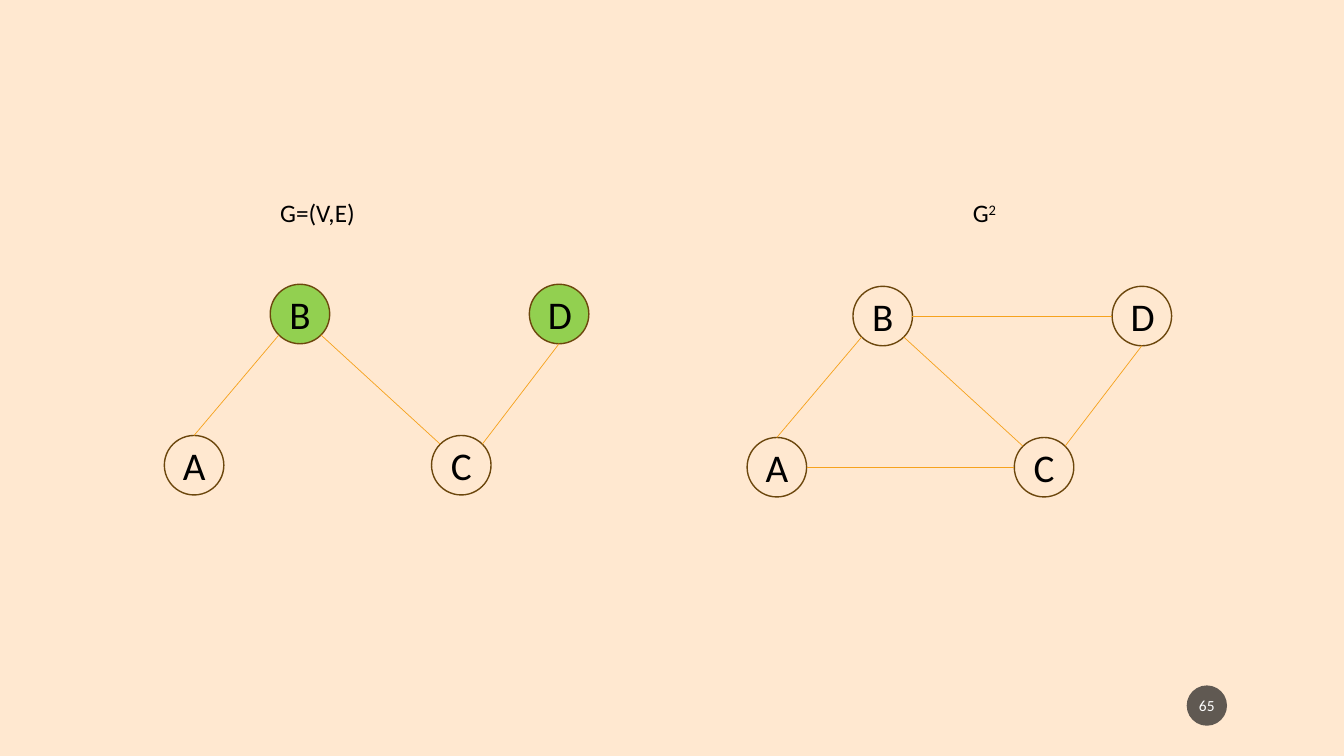
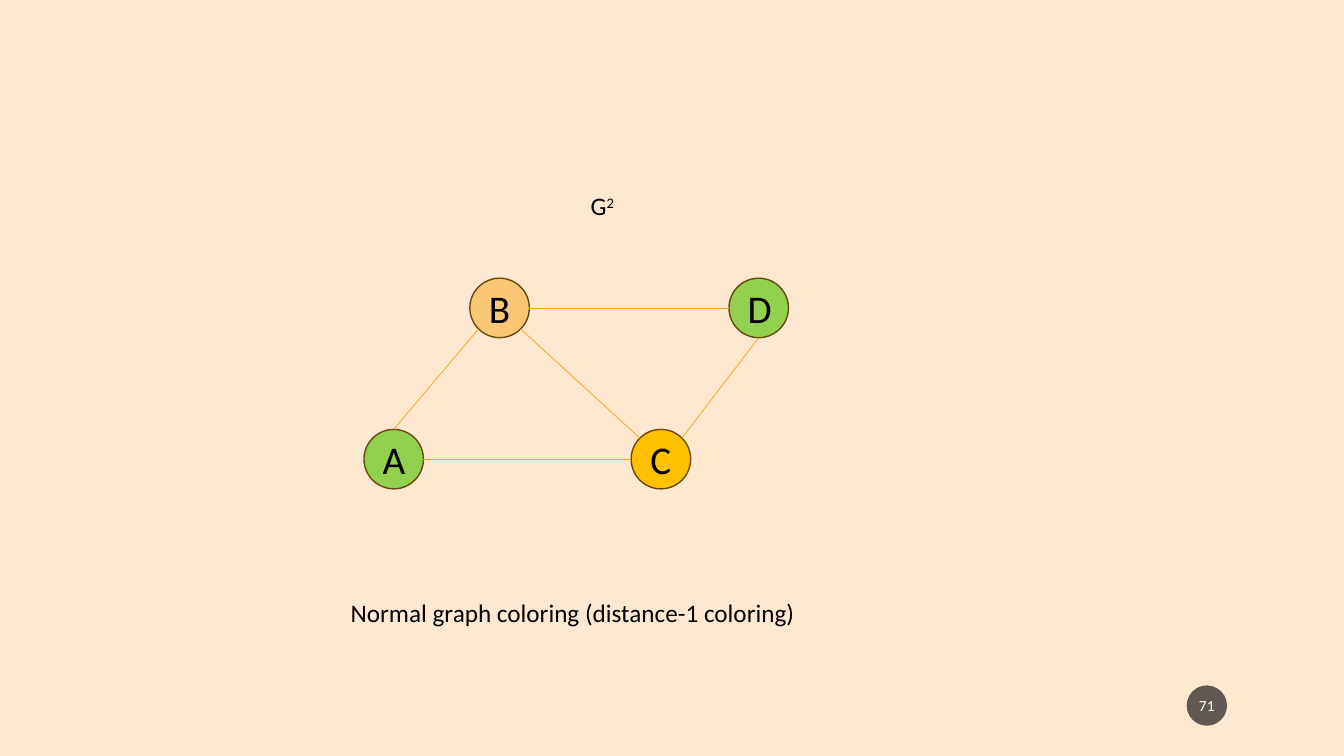
from math import cos, radians, sin

from lxml import etree
from pptx import Presentation
from pptx import util as u
from pptx.dml import color as c
from pptx.enum import shapes as s
from pptx.enum import text as t
from pptx.oxml import ns

BACKGROUND = c.RGBColor(0xFF, 0xE8, 0xD0)
BLACK = c.RGBColor(0x00, 0x00, 0x00)
WHITE = c.RGBColor(0xFF, 0xFF, 0xFF)
CHARCOAL = c.RGBColor(0x1D, 0x1D, 0x1D)
BROWN = c.RGBColor(0x6C, 0x47, 0x0D)
ORANGE = c.RGBColor(0xF6, 0xA2, 0x1D)
GREEN = c.RGBColor(0x92, 0xD0, 0x50)
PEACH = c.RGBColor(0xFA, 0xC7, 0x77)
AMBER = c.RGBColor(0xFF, 0xC0, 0x00)

NODE_SIZE = 0.59
NODE_OFFSETS = {"A": (0, 0), "B": (1.05, -1.5), "C": (2.65, 0), "D": (3.62, -1.5)}
TOP, TOP_LEFT, LEFT, BOTTOM_LEFT, BOTTOM, BOTTOM_RIGHT, RIGHT, TOP_RIGHT = range(8)
PATH_EDGES = [
    ("B", BOTTOM_LEFT, "A", TOP),
    ("C", TOP_LEFT, "B", BOTTOM_RIGHT),
    ("C", TOP_RIGHT, "D", BOTTOM),
]
SQUARE_EDGES = PATH_EDGES + [("A", RIGHT, "C", LEFT), ("B", RIGHT, "D", LEFT)]

NODE_FONT = {"name": "Calibri", "size": u.Pt(28)}
LABEL_FONT = {"name": "Calibri", "size": u.Pt(18)}
BADGE_FONT = {"name": "Calibri", "size": u.Pt(11)}
CENTRED_FRAME = {"vertical_anchor": t.MSO_ANCHOR.MIDDLE, "word_wrap": True}
BADGE_FRAME = {
    **CENTRED_FRAME,
    "margin_left": u.Inches(0.02),
    "margin_right": u.Inches(0.02),
}
LABEL_FRAME = {"word_wrap": True, "auto_size": t.MSO_AUTO_SIZE.SHAPE_TO_FIT_TEXT}


def apply(target, values):
    for name, value in values.items():
        setattr(target, name, value)


class GraphDeck:
    def __init__(self):
        self.presentation = Presentation()
        self.presentation.slide_width = u.Inches(13.33)
        self.presentation.slide_height = u.Inches(7.5)
        fill = self.presentation.slide_master.background.fill
        fill.solid()
        fill.fore_color.rgb = BACKGROUND
        self.slide = None

    def new_slide(self):
        self.slide = self.presentation.slides.add_slide(self.presentation.slide_layouts[6])

    def add_words(self, shape, content, frame_format, font_format, color, alignment):
        apply(shape.text_frame, frame_format)
        paragraph = shape.text_frame.paragraphs[0]
        paragraph.alignment = alignment
        run = paragraph.add_run()
        run.text = content
        apply(run.font, font_format)
        run.font.color.rgb = color

    def circle(self, left, top, size, content, fill, frame_format, font_format, color):
        shape = self.slide.shapes.add_shape(
            s.MSO_SHAPE.OVAL, *map(u.Inches, (left, top, size, size))
        )
        shape.shadow.inherit = False
        if fill is None:
            shape.fill.background()
        else:
            shape.fill.solid()
            shape.fill.fore_color.rgb = fill
        self.add_words(shape, content, frame_format, font_format, color, t.PP_ALIGN.CENTER)
        return shape

    def node(self, left, top, name, fill):
        shape = self.circle(left, top, NODE_SIZE, name, fill, CENTRED_FRAME, NODE_FONT, BLACK)
        shape.line.color.rgb = BROWN
        shape.line.width = u.Pt(1)
        return shape

    def site(self, shape, index):
        angle = radians(90 + 45 * index)
        radius = shape.width / 2
        return (
            round(shape.left + radius * (1 + cos(angle))),
            round(shape.top + radius * (1 - sin(angle))),
        )

    def edge(self, start, start_site, end, end_site):
        connector = self.slide.shapes.add_connector(
            s.MSO_CONNECTOR.STRAIGHT,
            *self.site(start, start_site),
            *self.site(end, end_site),
        )
        connector.line.color.rgb = ORANGE
        connector.line.width = u.Pt(0.5)
        etree.SubElement(connector.element.spPr, ns.qn("a:effectLst"))
        joints = connector.element.nvCxnSpPr.cNvCxnSpPr
        for tag, shape, index in (("a:stCxn", start, start_site), ("a:endCxn", end, end_site)):
            etree.SubElement(joints, ns.qn(tag), id=str(shape.shape_id), idx=str(index))

    def graph(self, left, top, edges, fills):
        nodes = {
            name: self.node(left + across, top + down, name, fills.get(name))
            for name, (across, down) in NODE_OFFSETS.items()
        }
        for start, start_site, end, end_site in edges:
            self.edge(nodes[start], start_site, nodes[end], end_site)

    def label(self, left, top, width, content, superscript=None):
        shape = self.slide.shapes.add_textbox(*map(u.Inches, (left, top, width, 0.4)))
        self.add_words(shape, content, LABEL_FRAME, LABEL_FONT, BLACK, t.PP_ALIGN.LEFT)
        if superscript:
            self.add_words(shape, superscript, LABEL_FRAME, LABEL_FONT, BLACK, t.PP_ALIGN.LEFT)
            shape.element.xpath(".//a:rPr")[-1].set("baseline", "30000")

    def page_badge(self, number):
        shape = self.circle(
            11.77, 6.8, 0.4, str(number), CHARCOAL, BADGE_FRAME, BADGE_FONT, WHITE
        )
        shape.line.fill.background()
        fill_color = shape.element.xpath("p:spPr/a:solidFill/a:srgbClr")[0]
        etree.SubElement(fill_color, ns.qn("a:alpha"), val="70000")


def main():
    deck = GraphDeck()

    deck.new_slide()
    deck.graph(1.63, 4.32, PATH_EDGES, {"B": GREEN, "D": GREEN})
    deck.label(2.68, 1.91, 1.18, "G=(V,E)")
    deck.label(9.55, 1.91, 1.18, "G", "2")
    deck.graph(7.41, 4.34, SQUARE_EDGES, {})
    deck.page_badge(65)

    deck.new_slide()
    deck.label(5.76, 1.84, 1.18, "G", "2")
    deck.graph(3.61, 4.26, SQUARE_EDGES, {"A": GREEN, "B": PEACH, "C": AMBER, "D": GREEN})
    deck.label(3.38, 5.88, 5.33, "Normal graph coloring (distance-1 coloring)")
    deck.page_badge(71)

    deck.presentation.save("out.pptx")


if __name__ == "__main__":
    main()
